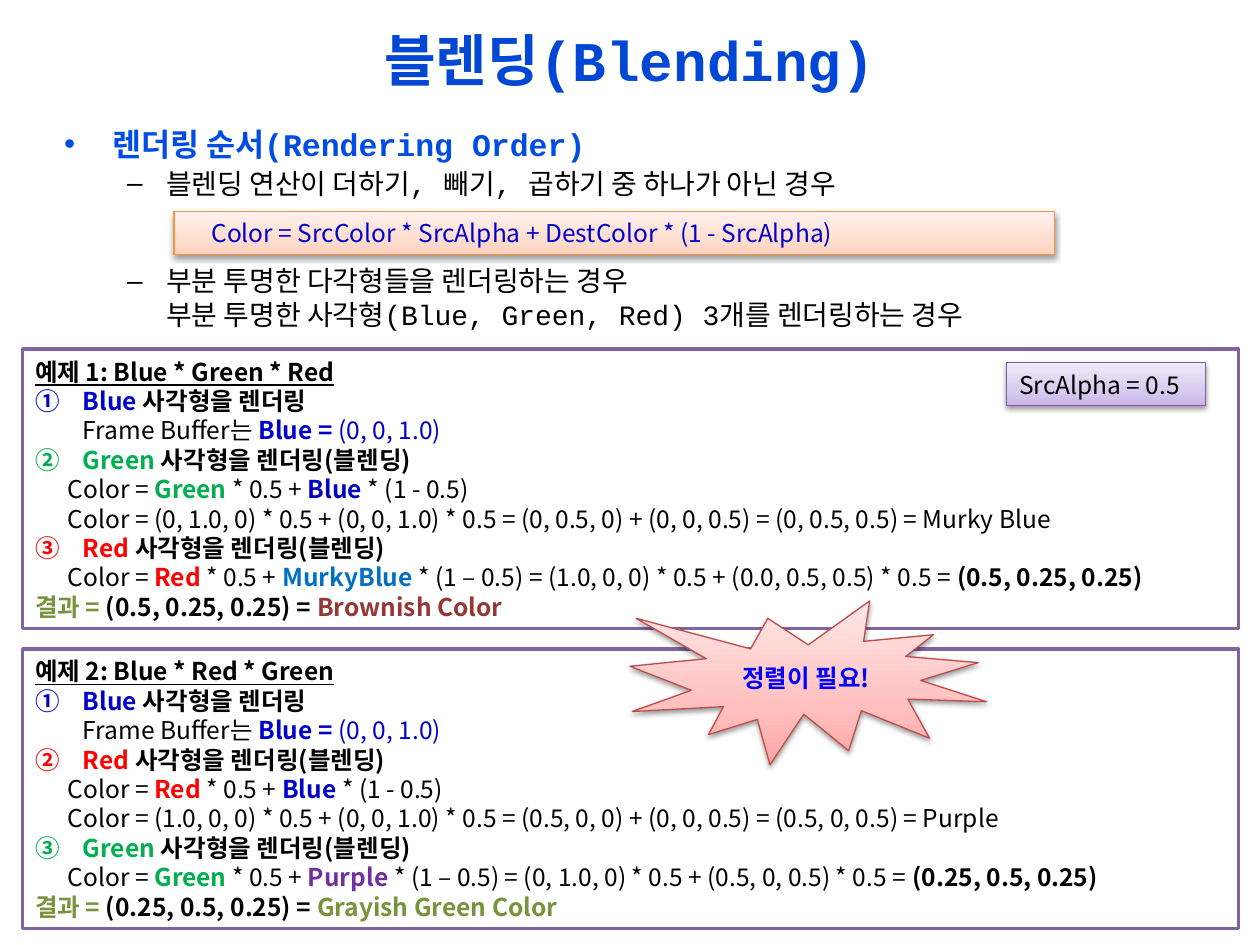
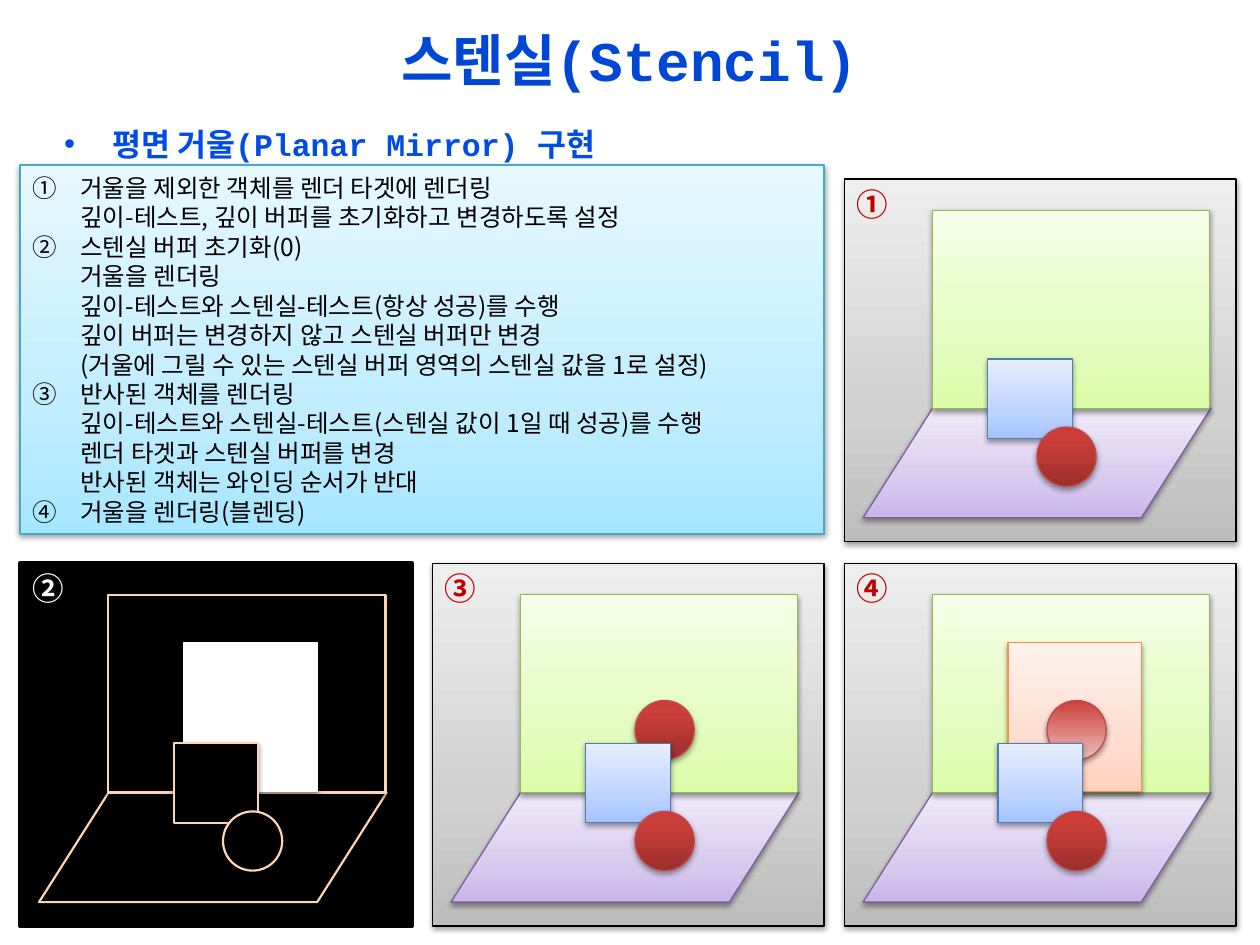
"""Build two slides on blending order and planar mirrors with the stencil buffer."""
from lxml import etree
from pptx import Presentation
from pptx.dml.color import RGBColor
from pptx.enum.shapes import MSO_SHAPE
from pptx.enum.text import MSO_ANCHOR, PP_ALIGN
from pptx.oxml.ns import qn
from pptx.util import Inches, Pt

SANS = "Noto Sans CJK KR"
MONO = "Courier New"
COLORS = {
    "title": "0047D6", "heading": "004DE6", "black": "000000", "white": "FFFFFF",
    "Blue": "0000CC", "Green": "00B050", "Red": "FF0000", "MurkyBlue": "0070C0",
    "Purple": "7030A0", "Brownish": "953735", "Grayish": "77933C",
    "label": "C00000", "alert": "0000FF",
}
STYLES = {
    "example": (["FFFFFF"], "8064A2", 2, False),
    "orange": ([(0, "FFD2BD"), (35, "FFDED0"), (100, "FFF2ED")], "F69240", 0.75, True),
    "purple": ([(0, "C9B5E8"), (35, "D8CBEE"), (100, "F0EAF9")], "7D60A0", 0.75, True),
    "pink": ([(0, "FFA6A5"), (35, "FFC0BF"), (100, "FFE7E7")], "BF4C48", 0.75, True),
    "gray": ([(0, "BDBDBD"), (35, "D1D1D1"), (100, "EEEEEE")], "000000", 0.75, True),
    "green": ([(0, "DAFDA7"), (35, "E4FCC2"), (100, "F5FFE7")], "98B955", 0.75, True),
    "cyan": ([(0, "A7E6FF"), (35, "C1EDFF"), (100, "E7F8FF")], "46AAC5", 0.75, True),
    "blue": ([(0, "A4C4FF"), (35, "BFD4FF"), (100, "E6EEFF")], "4B7EBC", 0.75, True),
    "red": ([(0, "9C2F2D"), (80, "CB3E3A"), (100, "CE3B37")], "BF4C48", 0.75, True),
    "faded": ([(0, "EDBEBD"), (100, "CB3E3A")], "BF4C48", 0.75, True),
    "night": (["000000"], "000000", 2, False),
    "outline": (["000000"], "FCD5B5", 1.25, True),
    "mask": (["FFFFFF"], "FFFFFF", 0.75, True),
}


def draw(slide, geometry, left, top, width, height, style):
    """Add a preset shape in one of the shared styles."""
    stops, line_color, line_width, shadowed = STYLES[style]
    shape = slide.shapes.add_shape(
        geometry, Inches(left), Inches(top), Inches(width), Inches(height))
    shape.line.color.rgb = RGBColor.from_string(line_color)
    shape.line.width = Pt(line_width)
    shape.shadow.inherit = False
    properties = shape._element.spPr
    if len(stops) == 1:
        shape.fill.solid()
        shape.fill.fore_color.rgb = RGBColor.from_string(stops[0])
    else:
        shape.fill.gradient()
        shape.fill.gradient_angle = 90
        stop_list = properties.find(qn("a:gradFill")).find(qn("a:gsLst"))
        for stop in list(stop_list):
            stop_list.remove(stop)
        for position, color in stops:
            stop = etree.SubElement(stop_list, qn("a:gs"), pos=str(position * 1000))
            etree.SubElement(stop, qn("a:srgbClr"), val=color)
    if shadowed:
        shadow = etree.SubElement(
            properties.find(qn("a:effectLst")), qn("a:outerShdw"),
            blurRad="40000", dist="20000", dir="5400000", rotWithShape="0")
        color = etree.SubElement(shadow, qn("a:srgbClr"), val="000000")
        etree.SubElement(color, qn("a:alpha"), val="38000")
    return shape


def write(frame, rows, size, font=SANS, align=PP_ALIGN.LEFT, shadowed=False):
    """Fill a text frame with rows of (spans, left, hanging, bullet, space before)."""
    frame.word_wrap = True
    for index, (spans, left, hanging, bullet, before) in enumerate(rows):
        para = frame.paragraphs[0] if index == 0 else frame.add_paragraph()
        para.alignment = align
        para.line_spacing = Pt(size * 1.2)
        para.space_before = Pt(before)
        properties = para._p.get_or_add_pPr()
        properties.set("marL", str(Inches(left)))
        properties.set("indent", str(-Inches(hanging)))
        if isinstance(bullet, int):
            etree.SubElement(properties, qn("a:buAutoNum"),
                             type="circleNumDbPlain", startAt=str(bullet))
        elif bullet:
            etree.SubElement(properties, qn("a:buFont"), typeface="Arial")
            etree.SubElement(properties, qn("a:buChar"), char=bullet)
        else:
            etree.SubElement(properties, qn("a:buNone"))
        para.font.size = Pt(size)
        para.font.name = font
        etree.SubElement(properties.find(qn("a:defRPr")), qn("a:ea"), typeface=SANS)
        for text, color, flags in spans:
            for line_number, line in enumerate(text.split("\n")):
                if line_number:
                    para.add_line_break()
                span = para.add_run()
                span.text = line
                span.font.bold = "b" in flags
                span.font.underline = "u" in flags
                span.font.color.rgb = RGBColor.from_string(COLORS[color])
                if shadowed:
                    effects = etree.SubElement(span._r.get_or_add_rPr(), qn("a:effectLst"))
                    shadow = etree.SubElement(effects, qn("a:outerShdw"), blurRad="38100",
                                              dist="38100", dir="2700000", algn="tl")
                    shade = etree.SubElement(shadow, qn("a:srgbClr"), val="000000")
                    etree.SubElement(shade, qn("a:alpha"), val="43000")


deck = Presentation()
deck.slide_width, deck.slide_height = Inches(10), Inches(7.5)
pages = []
for title, heading in [
    ("블렌딩(Blending)", "렌더링 순서(Rendering Order)"),
    ("스텐실(Stencil)", "평면 거울(Planar Mirror) 구현"),
]:
    page = deck.slides.add_slide(deck.slide_layouts[5])
    holder = page.shapes.title
    holder.left, holder.top = 0, 0
    holder.width, holder.height = deck.slide_width, Inches(0.94)
    holder.text_frame.vertical_anchor = MSO_ANCHOR.MIDDLE
    write(holder.text_frame, [([(title, "title", "b")], 0, 0, None, 0)], 32, MONO,
          PP_ALIGN.CENTER, True)
    box = page.shapes.add_textbox(0, Inches(0.94), deck.slide_width, Inches(0.4))
    box.text_frame.margin_left = Inches(0.51)
    write(box.text_frame, [([(heading, "heading", "b")], 0.38, 0.38, "•", 0)], 18, MONO)
    pages.append(page)
blending, stencil = pages

box = blending.shapes.add_textbox(0, Inches(1.27), deck.slide_width, Inches(1.45))
box.text_frame.margin_left = Inches(0.51)
cases = [
    ("블렌딩 연산이 더하기, 빼기, 곱하기 중 하나가 아닌 경우", 0.31, "–", 0),
    ("부분 투명한 다각형들을 렌더링하는 경우", 0.31, "–", 36.5),
    ("부분 투명한 사각형(Blue, Green, Red) 3개를 렌더링하는 경우", 0, None, 0),
]
write(box.text_frame, [([(text, "black", "")], 0.81, hanging, bullet, before)
                       for text, hanging, bullet, before in cases], 16, MONO)

examples = [
    ("Green", "Red", "MurkyBlue",
     "(0, 1.0, 0) * 0.5 + (0, 0, 1.0) * 0.5 = (0, 0.5, 0) + (0, 0, 0.5) = (0, 0.5, 0.5) = Murky Blue",
     "(1.0, 0, 0) * 0.5 + (0.0, 0.5, 0.5) * 0.5 = ",
     "(0.5, 0.25, 0.25)", "Brownish Color", "Brownish"),
    ("Red", "Green", "Purple",
     "(1.0, 0, 0) * 0.5 + (0, 0, 1.0) * 0.5 = (0.5, 0, 0) + (0, 0, 0.5) = (0.5, 0, 0.5) = Purple",
     "(0, 1.0, 0) * 0.5 + (0.5, 0, 0.5) * 0.5 = ",
     "(0.25, 0.5, 0.25)", "Grayish Green Color", "Grayish"),
]
for index, example in enumerate(examples):
    second, third, mixed, first_blend, last_blend, result, name, name_color = example
    box = draw(blending, MSO_SHAPE.RECTANGLE, 0.18, 2.77 + 2.38 * index, 9.65, 2.22, "example")
    write(box.text_frame, [
        ([(f"예제 {index + 1}: Blue * {second} * {third}", "black", "bu")], 0, 0, None, 0),
        ([("Blue ", "Blue", "b"), ("사각형을 렌더링\n", "black", "b"),
          ("Frame Buffer는 ", "black", ""), ("Blue = ", "Blue", "b"),
          ("(0, 0, 1.0)", "Blue", "")], 0.38, 0.38, 1, 0),
        ([(f"{second} ", second, "b"), ("사각형을 렌더링(블렌딩)", "black", "b")],
         0.38, 0.38, 1, 0),
        ([("Color = ", "black", ""), (second, second, "b"), (" * 0.5 + ", "black", ""),
          ("Blue", "Blue", "b"), (f" * (1 - 0.5)\nColor = {first_blend}", "black", "")],
         0.26, 0, None, 0),
        ([(f"{third} ", third, "b"), ("사각형을 렌더링(블렌딩)", "black", "b")],
         0.38, 0.38, 3, 0),
        ([("Color = ", "black", ""), (third, third, "b"), (" * 0.5 + ", "black", ""),
          (mixed, mixed, "b"), (f" * (1 – 0.5) = {last_blend}", "black", ""),
          (result, "black", "b")], 0.26, 0, None, 0),
        ([("결과 = ", "Grayish", "b"), (f"{result} = ", "black", "b"),
          (name, name_color, "b")], 0, 0, None, 0),
    ], 14)

formula = draw(blending, MSO_SHAPE.RECTANGLE, 1.38, 1.68, 6.99, 0.34, "orange")
write(formula.text_frame, [
    ([("Color = SrcColor * SrcAlpha + DestColor * (1 - SrcAlpha)", "Blue", "")],
     0.2, 0, None, 0)], 14)
alpha = draw(blending, MSO_SHAPE.RECTANGLE, 7.99, 2.88, 1.58, 0.34, "purple")
write(alpha.text_frame, [([("SrcAlpha = 0.5", "black", "")], 0, 0, None, 0)], 14)
burst = draw(blending, MSO_SHAPE.EXPLOSION1, 5, 4.77, 2.83, 1.3, "pink")
write(burst.text_frame, [([("정렬이 필요!", "alert", "b")], 0, 0, None, 0)], 14,
      align=PP_ALIGN.CENTER)

steps = [
    "거울을 제외한 객체를 렌더 타겟에 렌더링\n깊이-테스트, 깊이 버퍼를 초기화하고 변경하도록 설정",
    "스텐실 버퍼 초기화(0)\n거울을 렌더링\n깊이-테스트와 스텐실-테스트(항상 성공)를 수행\n"
    "깊이 버퍼는 변경하지 않고 스텐실 버퍼만 변경\n"
    "(거울에 그릴 수 있는 스텐실 버퍼 영역의 스텐실 값을 1로 설정)",
    "반사된 객체를 렌더링\n깊이-테스트와 스텐실-테스트(스텐실 값이 1일 때 성공)를 수행\n"
    "렌더 타겟과 스텐실 버퍼를 변경\n반사된 객체는 와인딩 순서가 반대",
    "거울을 렌더링(블렌딩)",
]
box = draw(stencil, MSO_SHAPE.RECTANGLE, 0.16, 1.31, 6.38, 2.93, "cyan")
write(box.text_frame, [([(step, "black", "")], 0.38, 0.38, 1, 0) for step in steps], 14)

PARTS = {
    "panel": (MSO_SHAPE.RECTANGLE, 0, 0, 3.11, 2.88),
    "floor": (MSO_SHAPE.FLOWCHART_DATA, 0.15, 1.82, 2.76, 0.87),
    "wall": (MSO_SHAPE.RECTANGLE, 0.7, 0.25, 2.2, 1.57),
    "mirror": (MSO_SHAPE.RECTANGLE, 1.3, 0.63, 1.06, 1.18),
    "reflection": (MSO_SHAPE.OVAL, 1.61, 1.09, 0.47, 0.47),
    "cube": (MSO_SHAPE.RECTANGLE, 1.22, 1.43, 0.67, 0.63),
    "ball": (MSO_SHAPE.OVAL, 1.61, 1.97, 0.47, 0.47),
}
LIT = {"panel": "gray", "floor": "purple", "wall": "green", "cube": "blue", "ball": "red"}
DARK = {"panel": "night", "floor": "outline", "wall": "outline", "mirror": "mask",
        "cube": "outline", "ball": "outline"}
scenes = [
    ("①", 2, 1.42, -0.08, "label", LIT),
    ("②", 0, 4.47, 0, "white", DARK),
    ("③", 1, 4.47, 0, "label", LIT | {"reflection": "red"}),
    ("④", 2, 4.47, 0, "label", LIT | {"mirror": "orange", "reflection": "faded"}),
]
for label, column, top, shift, label_color, looks in scenes:
    left = 0.16 + 3.27 * column
    for part, (geometry, across, down, width, height) in PARTS.items():
        if part in looks:
            nudge = shift if part in ("cube", "ball") else 0
            draw(stencil, geometry, left + across + nudge, top + down, width, height,
                 looks[part])
    box = stencil.shapes.add_textbox(Inches(left), Inches(top), Inches(0.5), Inches(0.4))
    write(box.text_frame, [([(label, label_color, "b")], 0, 0, None, 0)], 18, shadowed=True)

deck.save("out.pptx")
